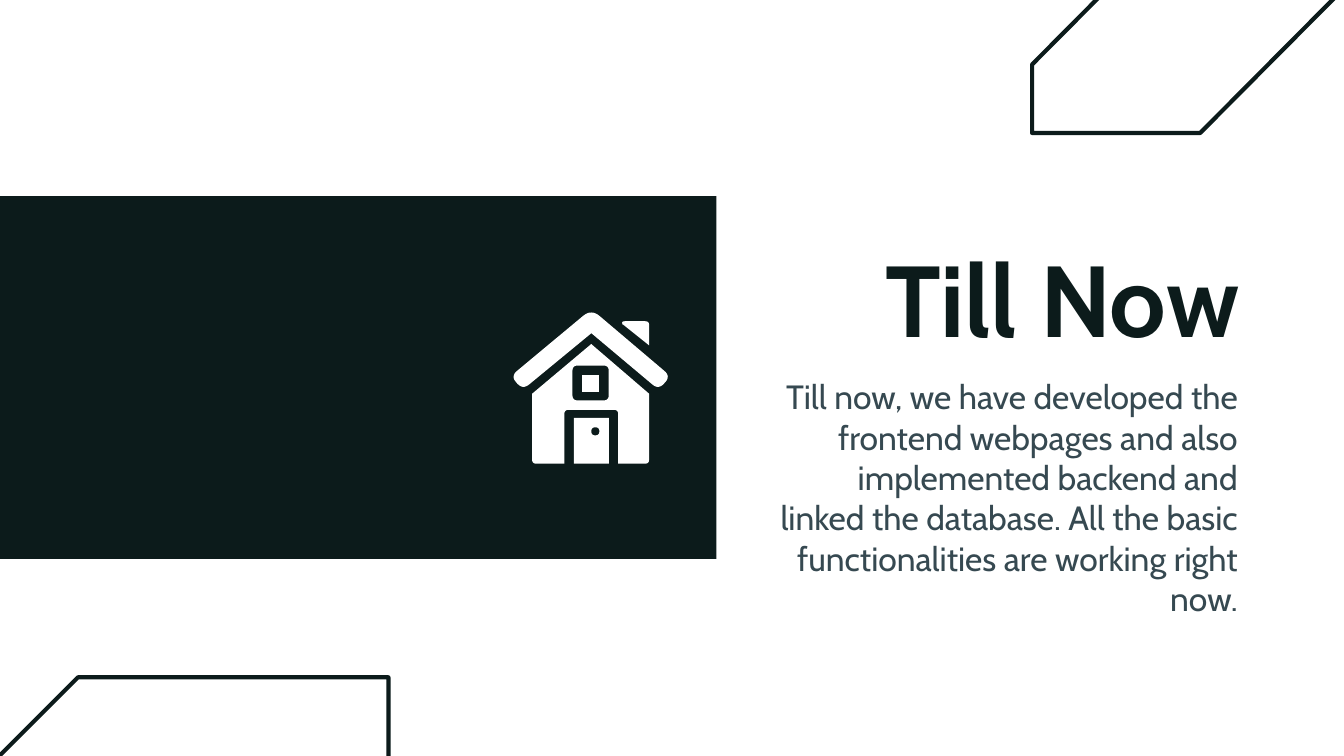
import math
import pptx
import pptx.util
import pptx.dml.color
import pptx.enum.shapes
import pptx.enum.text

Inches = pptx.util.Inches
DARK, SLATE, WHITE = "0C1B1B", "364951", "FFFFFF"


def colour(hex_code):
    return pptx.dml.color.RGBColor.from_string(hex_code)


def draw_outline(shapes, contours):
    builder = None
    for corners in contours:
        points = []
        for i, (x, y, cut) in enumerate(corners):
            if not cut:
                points.append((x, y))
                continue
            ends = []
            for nx, ny, _ in (corners[i - 1], corners[(i + 1) % len(corners)]):
                share = cut / math.hypot(nx - x, ny - y)
                ends.append((x + (nx - x) * share, y + (ny - y) * share))
            (ax, ay), (bx, by) = ends
            for t in (step / 8 for step in range(9)):
                u = 1 - t
                points.append((u * u * ax + 2 * u * t * x + t * t * bx,
                               u * u * ay + 2 * u * t * y + t * t * by))
        points = [(Inches(x), Inches(y)) for x, y in points]
        if builder is None:
            builder = shapes.build_freeform(*points[0])
        else:
            builder.move_to(*points[0])
        builder.add_line_segments(points[1:], close=True)
    outline = builder.convert_to_shape()
    outline.shadow.inherit = False
    return outline


deck = pptx.Presentation()
deck.slide_width, deck.slide_height = Inches(10), Inches(10 * 9 / 16)
slide = deck.slides.add_slide(deck.slide_layouts[0])
slide.background.fill.solid()
slide.background.fill.fore_color.rgb = colour(WHITE)

corner_frames = [
    [(1.35, 8.37), (2.89, 6.83), (2.89, 5.04), (0.58, 5.04), (-0.7, 6.32), (0.69, 7.72)],
    [(9.22, -1.07), (7.68, 0.48), (7.68, 0.99), (8.93, 0.99), (10.55, -0.64), (10.75, -1.07)],
]
for corners in corner_frames:
    frame = draw_outline(slide.shapes, [[(x, y, 0) for x, y in corners]])
    frame.fill.background()
    frame.line.color.rgb = colour(DARK)
    frame.line.width = pptx.util.Pt(2.25)

band = slide.shapes.add_shape(pptx.enum.shapes.MSO_SHAPE.RECTANGLE,
                              Inches(-0.26), Inches(1.46), Inches(5.59), Inches(2.7))
band.shadow.inherit = False
band.fill.solid()
band.fill.fore_color.rgb = colour(DARK)
band.line.fill.background()

chimney = [(4.62, 2.39, 0.03), (4.83, 2.39, 0.03), (4.83, 2.57, 0), (4.63, 2.41, 0)]
door = [(4.27, 3.11, 0), (4.53, 3.11, 0), (4.53, 3.45, 0), (4.27, 3.45, 0)]
knob = [(4.4, 3.18, 0.03), (4.46, 3.18, 0.03), (4.46, 3.24, 0.03), (4.4, 3.24, 0.03)]
window = [(4.33, 2.79, 0), (4.46, 2.79, 0), (4.46, 2.92, 0), (4.33, 2.92, 0)]
window_frame = [(4.26, 2.72, 0.04), (4.53, 2.72, 0.04), (4.53, 2.98, 0.04), (4.26, 2.98, 0.04)]
roof = [(4.4, 2.3, 0.08), (4.99, 2.8, 0.06), (4.9, 2.9, 0.06),
        (4.4, 2.48, 0), (3.89, 2.9, 0.06), (3.8, 2.8, 0.06)]
walls = [(4.4, 2.56, 0), (3.96, 2.93, 0), (3.96, 3.45, 0.03), (4.2, 3.45, 0),
         (4.2, 3.05, 0.03), (4.6, 3.05, 0.03), (4.6, 3.45, 0),
         (4.83, 3.45, 0.03), (4.83, 2.93, 0)]
house = slide.shapes.add_group_shape()
for contours in ([chimney], [door, knob], [window], [roof], [walls, window_frame]):
    part = draw_outline(house.shapes, contours)
    part.fill.solid()
    part.fill.fore_color.rgb = colour(WHITE)
    part.line.fill.background()

heading, summary = slide.placeholders
texts = [
    (heading, "Till Now", (5.88, 1.66, 3.44, 1.1), pptx.enum.text.MSO_ANCHOR.BOTTOM,
     {"size": pptx.util.Pt(54), "bold": True, "name": "Cabin"}, DARK),
    (summary, "Till now, we have developed the frontend webpages and also implemented backend "
     "and linked the database. All the basic functionalities are working right now.",
     (5.64, 2.7, 3.67, 1.47), pptx.enum.text.MSO_ANCHOR.TOP,
     {"size": pptx.util.Pt(18), "bold": False, "name": "Cabin"}, SLATE),
]
for holder, wording, box, anchor, font_format, ink in texts:
    for side, length in zip(("left", "top", "width", "height"), box):
        setattr(holder, side, Inches(length))
    frame_format = {"word_wrap": True, "vertical_anchor": anchor,
                    "auto_size": pptx.enum.text.MSO_AUTO_SIZE.NONE}
    for side in ("left", "top", "right", "bottom"):
        frame_format["margin_" + side] = Inches(0.1)
    holder.text_frame.text = wording
    paragraph = holder.text_frame.paragraphs[0]
    paragraph_format = {"alignment": pptx.enum.text.PP_ALIGN.RIGHT, "line_spacing": 1.0,
                        "space_before": pptx.util.Pt(0)}
    font = paragraph.runs[0].font
    for target, values in ((holder.text_frame, frame_format),
                           (paragraph, paragraph_format), (font, font_format)):
        for key, value in values.items():
            setattr(target, key, value)
    font.color.rgb = colour(ink)

deck.save("out.pptx")
